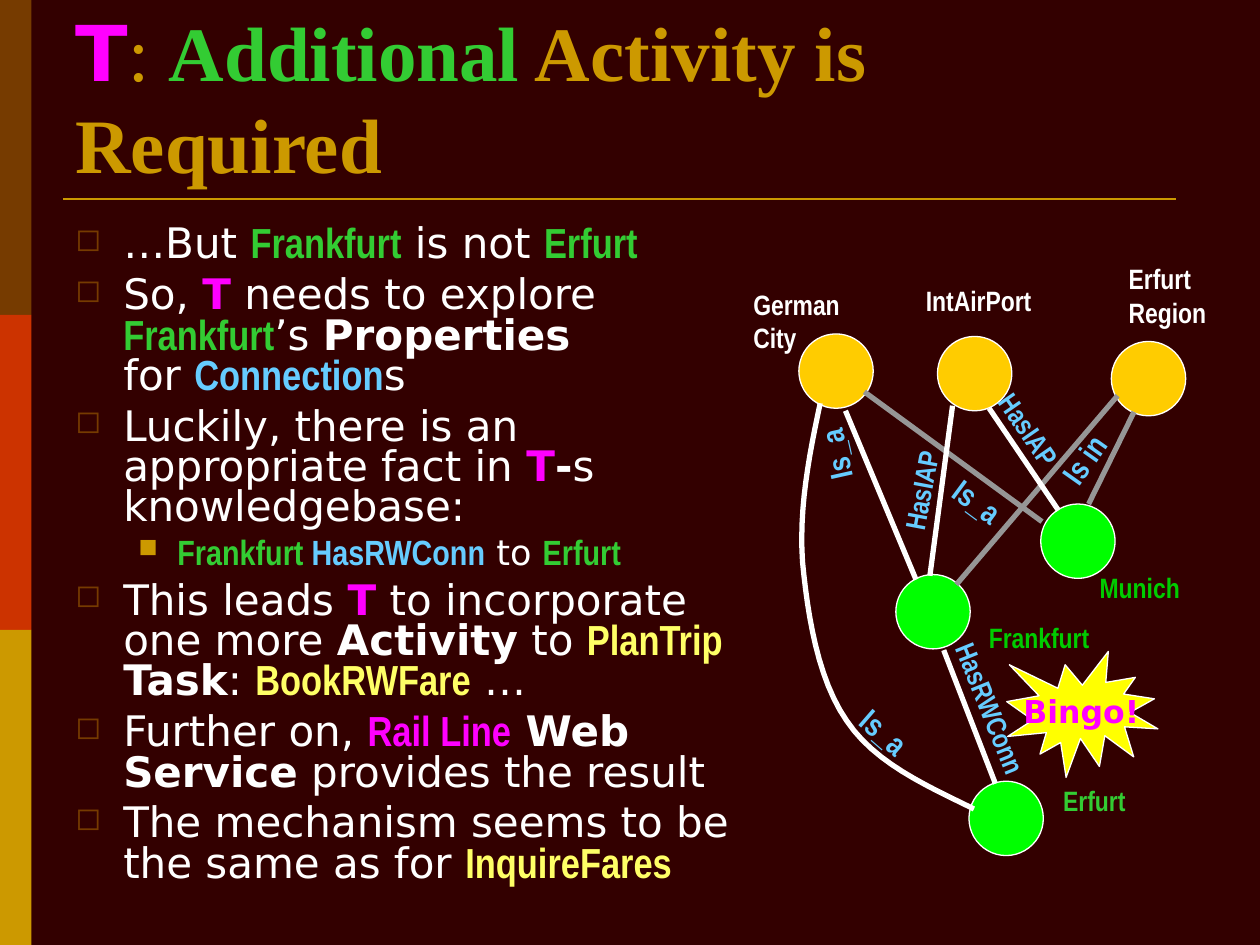
from dataclasses import dataclass

from lxml import etree
from pptx import Presentation
from pptx.dml.color import RGBColor
from pptx.enum.shapes import MSO_CONNECTOR, MSO_SHAPE
from pptx.enum.text import MSO_ANCHOR, MSO_AUTO_SIZE, PP_ALIGN
from pptx.oxml.ns import qn
from pptx.util import Inches, Pt

RECT, OVAL, BURST = MSO_SHAPE.RECTANGLE, MSO_SHAPE.OVAL, MSO_SHAPE.EXPLOSION1
LINE = MSO_CONNECTOR.STRAIGHT
BOTTOM, MIDDLE = MSO_ANCHOR.BOTTOM, MSO_ANCHOR.MIDDLE
CENTER = PP_ALIGN.CENTER
GROW = MSO_AUTO_SIZE.SHAPE_TO_FIT_TEXT


@dataclass(frozen=True)
class Theme:
    """Hold colours, fonts and type sizes."""
    back: str = "330000"
    brown: str = "763B00"
    red: str = "CC3300"
    gold: str = "CC9900"
    white: str = "FFFFFF"
    gray: str = "969696"
    pink: str = "FF00FF"
    green: str = "33CC33"
    leaf: str = "00CC00"
    lime: str = "00FF00"
    amber: str = "FFCC00"
    yellow: str = "FFFF00"
    lemon: str = "FFFF66"
    blue: str = "66CCFF"
    sans: str = "DejaVu Sans"
    narrow: str = "Arial Narrow"
    serif: str = "Times New Roman"
    title: int = 44
    body: int = 24
    sub: int = 20
    link: int = 18
    name: int = 16


T = Theme()
PLAIN = (T.sans, T.white, False)
BOLD = (T.sans, T.white, True)
AGENT = (T.sans, T.pink, True)
PLACE = (T.narrow, T.green, True)
REL = (T.narrow, T.blue, True)
TASK = (T.narrow, T.lemon, True)
FIRM = (T.narrow, T.pink, True)
GOLD = (T.serif, T.gold, True)

HEAD = [("T", AGENT), (": ", (T.serif, T.gold, False)),
        ("Additional", (T.serif, T.green, True)), (" Activity is Required", GOLD)]
POINTS = [
    (0, [("…But ", PLAIN), ("Frankfurt", PLACE), (" is not ", PLAIN), ("Erfurt", PLACE)]),
    (0, [("So, ", PLAIN), ("T", AGENT), (" needs to explore ", PLAIN), ("Frankfurt", PLACE),
         ("’s ", PLAIN), ("Properties ", BOLD), ("\v", PLAIN), ("for ", PLAIN),
         ("Connection", REL), ("s", PLAIN)]),
    (0, [("Luckily, there is an appropriate fact in ", PLAIN), ("T", AGENT), ("-", BOLD),
         ("s knowledgebase:", PLAIN)]),
    (1, [("Frankfurt ", PLACE), ("HasRWConn", REL), (" to ", PLAIN), ("Erfurt", PLACE)]),
    (0, [("This leads ", PLAIN), ("T", AGENT), (" to incorporate one more ", PLAIN),
         ("Activity", BOLD), (" to ", PLAIN), ("PlanTrip ", TASK), ("Task", BOLD),
         (": ", PLAIN), ("BookRWFare", TASK), (" …", PLAIN)]),
    (0, [("Further on, ", PLAIN), ("Rail Line", FIRM), (" Web Service", BOLD),
         (" provides the result", PLAIN)]),
    (0, [("The mechanism seems to be the same as for ", PLAIN), ("InquireFares", TASK)]),
]
LEVELS = [(T.body, 0.38, 0.38, 6, "◻", T.brown), (T.sub, 0.81, 0.31, 5, "■", T.gold)]

NODES = [(6.34, 2.65, T.amber), (7.44, 2.67, T.amber), (8.82, 2.71, T.amber),
         (8.26, 4, T.lime), (7.11, 4.56, T.lime), (7.69, 6.2, T.lime)]
LINKS = [(7.59, 4.64, 8.87, 3.14, T.gray), (6.86, 3.11, 8.27, 4.14, T.gray),
         (8.64, 4, 9, 3.27, T.gray), (8.4, 4.05, 7.85, 3.24, T.white),
         (7.27, 4.6, 6.71, 3.26, T.white), (7.38, 4.57, 7.56, 3.22, T.white),
         (7.9, 6.22, 7.49, 5.16, T.white)]
ARCS = [((6.51, 3.2), (6.42, 3.62), (6.34, 4.04), (6.37, 4.46)),
        ((6.37, 4.46), (6.41, 4.88), (6.49, 5.39), (6.72, 5.72)),
        ((6.72, 5.72), (6.94, 6.05), (7.34, 6.23), (7.73, 6.42))]
NAMES = [("German\vCity", 5.88, 2.23, 0.98, 0.64, T.white),
         ("IntAirPort", 7.25, 2.2, 1.06, 0.37, T.white),
         ("Erfurt\vRegion", 8.86, 2.03, 0.94, 0.64, T.white),
         ("Munich", 8.63, 4.48, 0.87, 0.37, T.leaf),
         ("Frankfurt", 7.75, 4.88, 1, 0.37, T.leaf),
         ("Erfurt", 8.34, 6.17, 0.73, 0.37, T.green)]
TAGS = [("Is in", 8.28, 3.41, 0.69, 0.4, T.link, 305.2),
        ("Is_a", 7.46, 3.78, 0.6, 0.4, T.link, 36.5),
        ("Is_a", 6.33, 3.41, 0.6, 0.4, T.link, 257.3),
        ("Is_a", 6.72, 5.61, 0.6, 0.4, T.link, 40.9),
        ("HasIAP", 6.88, 3.69, 0.87, 0.37, T.name, 280.6),
        ("HasIAP", 7.74, 3.24, 0.87, 0.37, T.name, 55.4),
        ("HasRWConn", 7.2, 5.46, 1.34, 0.37, T.name, 68)]


def rgb(tone):
    """Turn a hex string into a colour."""
    return RGBColor.from_string(tone)


def bezier(arc, t):
    """Return the point at t on a cubic curve."""
    parts = ((1 - t) ** 3, 3 * t * (1 - t) ** 2, 3 * t * t * (1 - t), t ** 3)
    return tuple(Inches(sum(w * p[i] for w, p in zip(parts, arc))) for i in (0, 1))


class Deck:
    """Draw styled elements on the current slide."""

    def __init__(self, slide):
        self.shapes = slide.shapes
        slide.background.fill.solid()
        slide.background.fill.fore_color.rgb = rgb(T.back)

    def style(self, font, look, size=None):
        font.name, font.bold = look[0], look[2]
        font.color.rgb = rgb(look[1])
        if size:
            font.size = Pt(size)

    def shape(self, kind, x, y, w, h, fill, edge=None):
        item = self.shapes.add_shape(kind, *map(Inches, (x, y, w, h)))
        item.shadow.inherit = False
        item.fill.solid()
        item.fill.fore_color.rgb = rgb(fill)
        if edge:
            item.line.color.rgb = rgb(edge)
            item.line.width = Pt(0.75)
        else:
            item.line.fill.background()
        return item

    def line(self, x1, y1, x2, y2, tone, width=3):
        item = self.shapes.add_connector(LINE, *map(Inches, (x1, y1, x2, y2)))
        item.line.color.rgb = rgb(tone)
        item.line.width = Pt(width)
        etree.SubElement(item._element.spPr, qn("a:effectLst"))

    def curve(self, arcs, tone, steps=12):
        dots = [bezier(arc, n / steps) for arc in arcs for n in range(1, steps + 1)]
        pen = self.shapes.build_freeform(*bezier(arcs[0], 0))
        pen.add_line_segments(dots, close=False)
        item = pen.convert_to_shape()
        item.shadow.inherit = False
        item.fill.background()
        item.line.color.rgb = rgb(tone)
        item.line.width = Pt(3)

    def frame(self, x, y, w, h, wrap=True, turn=0):
        box = self.shapes.add_textbox(*map(Inches, (x, y, w, h)))
        box.rotation = turn
        box.text_frame.word_wrap = wrap
        return box.text_frame

    def label(self, text, x, y, w, h, tone, size=T.name, turn=0):
        frame = self.frame(x, y, w, h, "\v" in text, turn)
        frame.auto_size = GROW
        para = frame.paragraphs[0]
        para.text = text
        self.style(para.font, (T.narrow, tone, True), size)

    def rich(self, para, runs, size):
        para.font.size = Pt(size)
        for text, look in runs:
            if text == "\v":
                para.add_line_break()
                continue
            run = para.add_run()
            run.text = text
            self.style(run.font, look)

    def title(self, runs):
        frame = self.frame(0.5, 0.3, 9, 1.25)
        frame.vertical_anchor = BOTTOM
        self.rich(frame.paragraphs[0], runs, T.title)

    def bullet(self, para, level):
        size, left, hang, gap, mark, tone = LEVELS[level]
        para.line_spacing, para.space_before = 0.8, Pt(gap)
        props = para._p.get_or_add_pPr()
        props.set("marL", str(Inches(left)))
        props.set("indent", str(-Inches(hang)))
        color = etree.SubElement(props, qn("a:buClr"))
        etree.SubElement(color, qn("a:srgbClr"), val=tone)
        etree.SubElement(props, qn("a:buSzPct"), val="75000")
        etree.SubElement(props, qn("a:buChar"), char=mark)
        return size

    def points(self, items):
        frame = self.frame(0.5, 1.75, 5.42, 5.51)
        for n, (level, runs) in enumerate(items):
            para = frame.add_paragraph() if n else frame.paragraphs[0]
            self.rich(para, runs, self.bullet(para, level))

    def burst(self, text):
        frame = self.shape(BURST, 7.99, 5.17, 1.2, 1, T.yellow, T.white).text_frame
        frame.word_wrap, frame.vertical_anchor = False, MIDDLE
        para = frame.paragraphs[0]
        para.text, para.alignment = text, CENTER
        self.style(para.font, AGENT, T.link)


def main():
    """Build the slide and save it."""
    show = Presentation()
    show.slide_width, show.slide_height = Inches(10), Inches(7.5)
    deck = Deck(show.slides.add_slide(show.slide_layouts[6]))
    for n, tone in enumerate((T.brown, T.red, T.gold)):
        deck.shape(RECT, 0, 2.5 * n, 0.25, 2.5, tone)
    deck.line(0.5, 1.58, 9.33, 1.58, T.gold, 1.5)
    deck.title(HEAD)
    deck.points(POINTS)
    for x, y, tone in NODES:
        deck.shape(OVAL, x, y, 0.59, 0.59, tone, T.white)
    for link in LINKS:
        deck.line(*link)
    deck.curve(ARCS, T.white)
    for name in NAMES:
        deck.label(*name)
    for text, x, y, w, h, size, turn in TAGS:
        deck.label(text, x, y, w, h, T.blue, size, turn)
    deck.burst("Bingo!")
    show.save("out.pptx")


if __name__ == "__main__":
    main()
